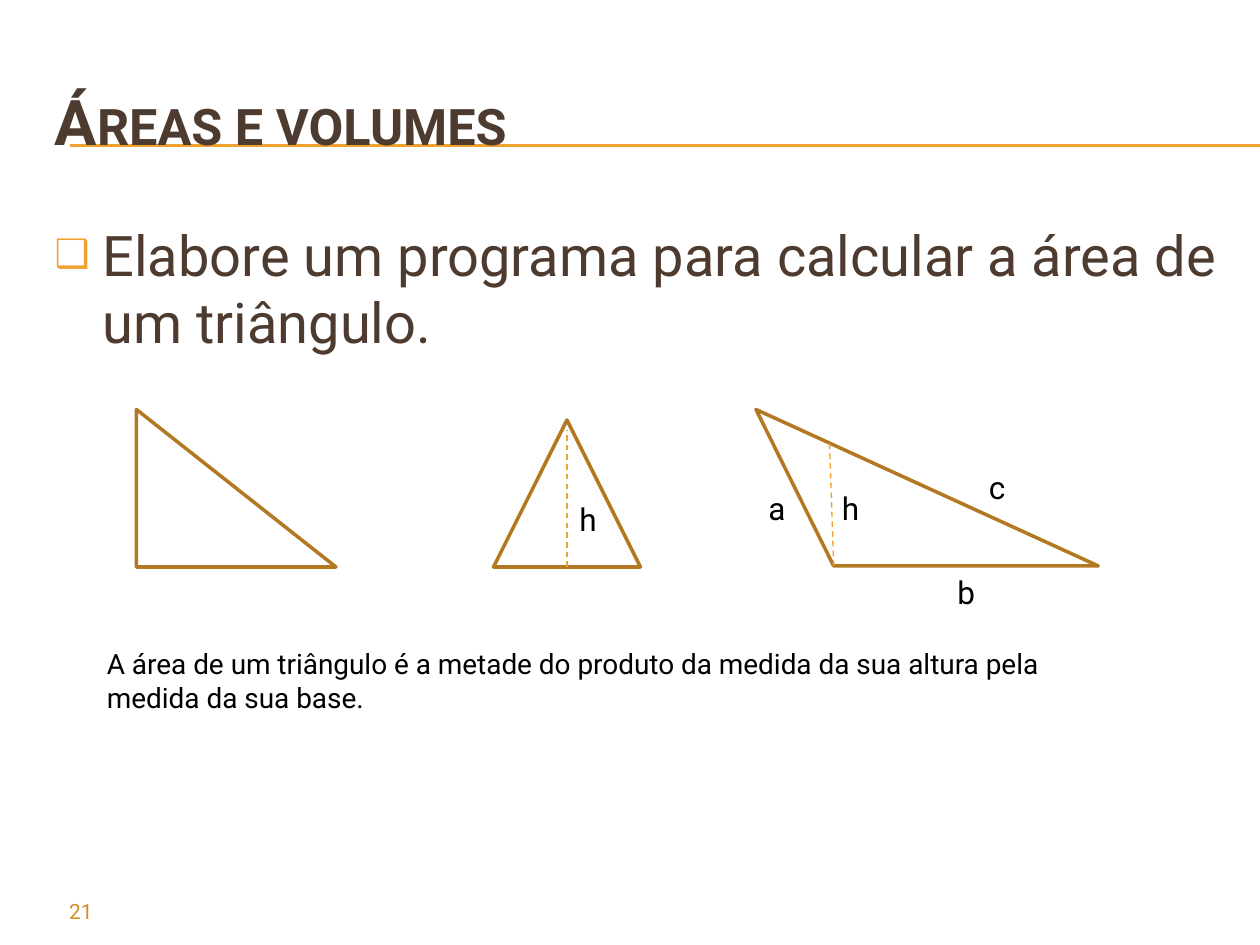
from lxml import etree
from pptx import Presentation
from pptx import util as u
from pptx.dml.color import RGBColor
from pptx.enum import dml, shapes, text
from pptx.oxml.ns import qn

COLORS = {"title": "4E3B30", "accent": "F0A22E", "edge": "B27822",
          "number": "D48F29", "black": "000000", "white": "FFFFFF"}
FONT = "Roboto"
CELL = u.Inches(1) / 12  # the grid: 120 columns by 90 rows


def grid(*cells):
    return [u.Emu(round(cell * CELL)) for cell in cells]


def write(box, words, size, color, wrap=True):
    box.text_frame.word_wrap = wrap
    para = box.text_frame.paragraphs[0]
    para.add_run().text = words
    para.font.name = FONT
    para.font.size = u.Pt(size)
    para.font.color.rgb = RGBColor.from_string(COLORS[color])
    return para


deck = Presentation()
deck.slide_width, deck.slide_height = grid(120, 90)
page = deck.slides.add_slide(deck.slide_layouts[1])
title, body = page.shapes.title, page.placeholders[1]

# Title in small capitals
title.left, title.top, title.width, title.height = grid(4, 6, 88.8, 11)
title.text_frame.vertical_anchor = text.MSO_ANCHOR.MIDDLE
title.text_frame.auto_size = text.MSO_AUTO_SIZE.NONE
para = write(title, "Áreas e volumes", 36, "title")
para.alignment = text.PP_ALIGN.LEFT
para.font.bold = True
para.runs[0]._r.get_or_add_rPr().set("cap", "small")

# Task with a square bullet
body.left, body.top, body.width, body.height = grid(4, 20.4, 114, 17.6)
body.text_frame.auto_size = text.MSO_AUTO_SIZE.NONE
para = body.text_frame.paragraphs[0]
props = para._p.get_or_add_pPr()
props.set("marL", str(u.Inches(0.38)))
props.set("indent", str(-u.Inches(0.38)))
bullet_color = etree.SubElement(props, qn("a:buClr"))
etree.SubElement(bullet_color, qn("a:srgbClr")).set("val", COLORS["accent"])
etree.SubElement(props, qn("a:buSzPct")).set("val", "70000")
etree.SubElement(props, qn("a:buChar")).set("char", "❑")
para.space_before = u.Pt(0)
write(body, "Elabore um programa para calcular a área de um triângulo.", 32, "title")

# Triangles: isosceles, right and obtuse
isosceles = page.shapes.add_shape(
    shapes.MSO_SHAPE.ISOSCELES_TRIANGLE, *grid(47, 40, 14, 14))
right = page.shapes.add_shape(
    shapes.MSO_SHAPE.RIGHT_TRIANGLE, *grid(13, 39, 19, 15))
corner = (79.4, 53.9)
outline = page.shapes.build_freeform(*grid(*corner))
outline.add_line_segments([grid(104.6, 53.9), grid(72, 39)], close=True)
obtuse = outline.convert_to_shape()
for triangle in (isosceles, right, obtuse):
    triangle.shadow.inherit = False
    triangle.fill.solid()
    triangle.fill.fore_color.rgb = RGBColor.from_string(COLORS["white"])
    triangle.line.color.rgb = RGBColor.from_string(COLORS["edge"])
    triangle.line.width = u.Pt(2)

# Double rule under the title, then the dashed heights
for ends, width, dashed in [
    ((6.7, 13.8, 120, 13.8), 0.75, False),
    ((6.7, 13.9, 120, 13.9), 0.75, False),
    ((*corner, 79, 42), 0.79, True),
    ((54, 54, 54, 41), 0.79, True),
]:
    line = page.shapes.add_connector(shapes.MSO_CONNECTOR.STRAIGHT, *grid(*ends))
    line.line.color.rgb = RGBColor.from_string(COLORS["accent"])
    line.line.width = u.Pt(width)
    if dashed:
        line.line.dash_style = dml.MSO_LINE.DASH
    etree.SubElement(line._element.spPr, qn("a:effectLst"))
    if not dashed:  # the rules lie behind the title
        page.shapes._spTree.insert(2, line._element)

# Letters of sides and heights
for letter, column, row in [("a", 72, 46), ("b", 90, 54), ("c", 93, 44),
                            ("h", 79, 46), ("h", 54, 47)]:
    box = page.shapes.add_textbox(*grid(column, row, 4, 4.8))
    write(box, letter, 18, "black", wrap=False)

# Rule for the area
box = page.shapes.add_textbox(*grid(9, 61, 99, 7.7))
write(box, "A área de um triângulo é a metade do produto da medida da sua altura "
      "pela medida da sua base.", 16, "black")

# Page number
box = page.shapes.add_textbox(*grid(0, 85, 10, 3.2))
write(box, "21", 12, "number").alignment = text.PP_ALIGN.RIGHT

deck.save("out.pptx")
